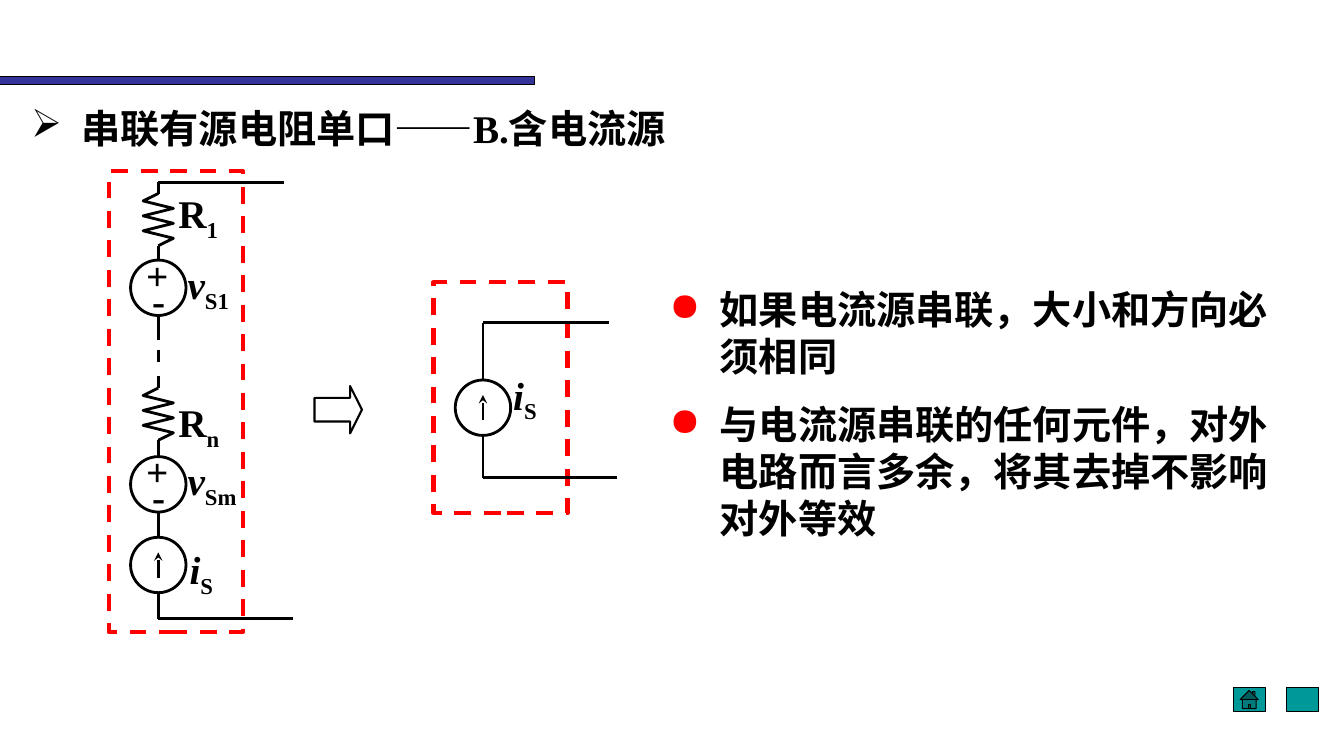
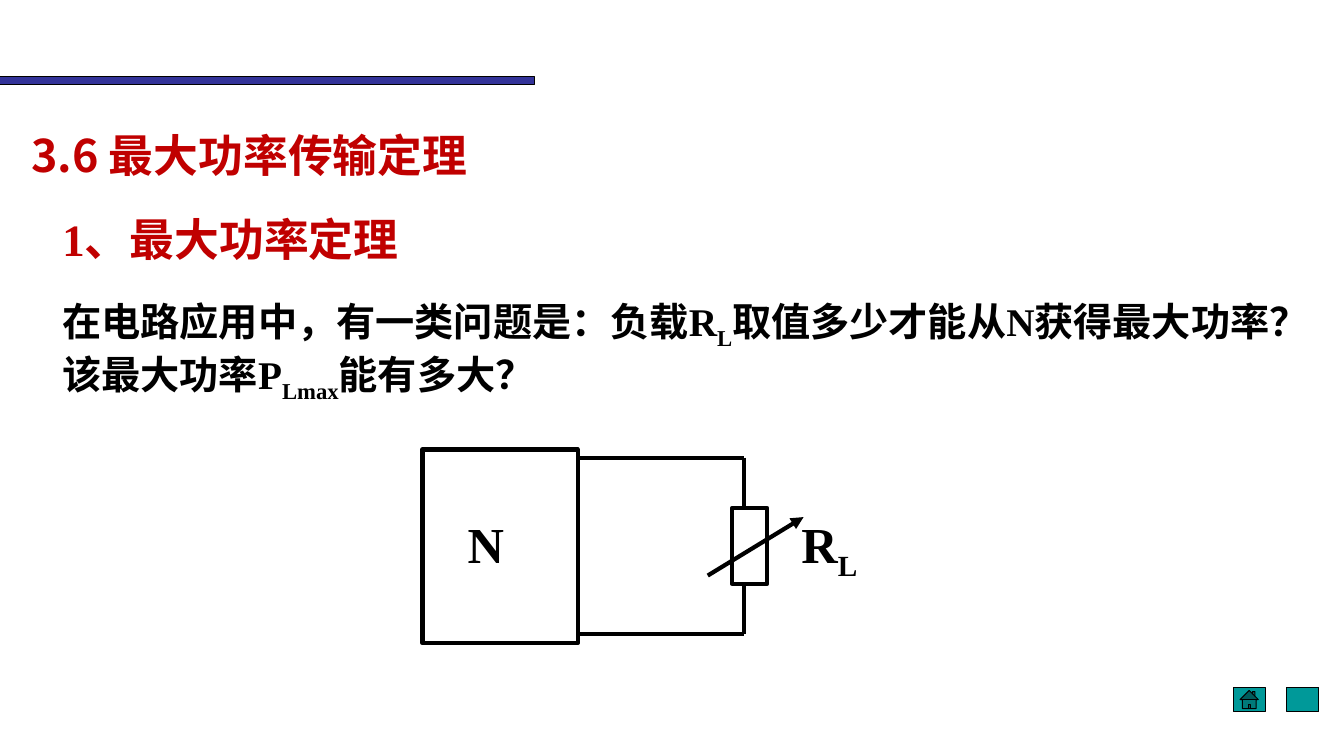
"""Build two slides on series one-ports and the maximum power transfer theorem."""
from lxml.etree import SubElement
from pptx import Presentation
from pptx.dml.color import RGBColor
from pptx.enum.dml import MSO_LINE
from pptx.enum.shapes import MSO_CONNECTOR, MSO_SHAPE as Preset
from pptx.enum.text import MSO_ANCHOR
from pptx.oxml.ns import qn
from pptx.util import Inches, Pt

COLORS = {
    "ink": "000000",
    "band": "333399",
    "button": "009999",
    "frame": "FF0000",
    "heading": "C00000",
}
LATIN, HAN = "Times New Roman", "Noto Sans CJK SC"
CELL = Inches(0.1)
COLUMNS, ROWS = 133.3, 75


def draw(slide, preset, box, fill=None, line="ink", weight=2):
    """Place a preset shape on the grid."""
    shape = slide.shapes.add_shape(preset, *[round(n * CELL) for n in box])
    shape.shadow.inherit = False
    if fill:
        shape.fill.solid()
        shape.fill.fore_color.rgb = RGBColor.from_string(COLORS[fill])
    else:
        shape.fill.background()
    shape.line.color.rgb = RGBColor.from_string(COLORS[line])
    shape.line.width = Pt(weight)
    return shape


def write(slide, box, paragraphs, size=28, color="ink", latin=LATIN, italic=False,
          inset=True, bullet=None, bullet_color="ink"):
    """Write bold paragraphs; every second part between bars is a subscript."""
    frame = slide.shapes.add_textbox(*[round(n * CELL) for n in box]).text_frame
    frame.word_wrap = True
    if not inset:
        frame.margin_left = frame.margin_right = frame.margin_top = frame.margin_bottom = 0
    for index, words in enumerate(paragraphs):
        paragraph = frame.add_paragraph() if index else frame.paragraphs[0]
        if bullet:
            props = paragraph._p.get_or_add_pPr()
            props.set("marL", str(Inches(0.5)))
            props.set("indent", str(-Inches(0.5)))
            tint = SubElement(props, qn("a:buClr"))
            SubElement(tint, qn("a:srgbClr"), val=COLORS[bullet_color])
            SubElement(props, qn("a:buChar"), char=bullet)
        if index:
            paragraph.space_before = Pt(15)
        for part, text in enumerate(words.split("|")):
            run = paragraph.add_run()
            run.text = text
            run.font.size = Pt(size)
            run.font.bold = True
            run.font.italic = italic and part % 2 == 0
            run.font.color.rgb = RGBColor.from_string(COLORS[color])
            run.font.name = latin
            props = run._r.get_or_add_rPr()
            SubElement(props, qn("a:ea"), typeface=HAN)
            if part % 2:
                props.set("baseline", "-25000")
    return frame


deck = Presentation()
deck.slide_width, deck.slide_height = round(COLUMNS * CELL), ROWS * CELL
blank = deck.slide_layouts[6]
series, power = [deck.slides.add_slide(blank) for _ in range(2)]

for slide in (series, power):
    draw(slide, Preset.RECTANGLE, (0, 7.6, 53, 0.8), "band", weight=0.75)
    draw(slide, Preset.ACTION_BUTTON_HOME, (122.3, 68.2, 3.2, 2.4), "button", weight=0.75)
    draw(slide, Preset.ACTION_BUTTON_CUSTOM, (127.6, 68.2, 3.2, 2.4), "button", weight=0.75)

write(series, (2.1, 9.9, 81.4, 5.7), ["串联有源电阻单口——B.含电流源"], bullet="➢")
write(series, (65.4, 27.8, 63.5, 26.9),
      ["如果电流源串联，大小和方向必须相同",
       "与电流源串联的任何元件，对外电路而言多余，将其去掉不影响对外等效"],
      bullet="●", bullet_color="frame")
becomes = draw(series, Preset.RIGHT_ARROW, (31.2, 38.3, 4.7, 4.7), weight=1.5)
becomes.adjustments[0], becomes.adjustments[1] = 0.5, 0.25

chain, single = 15.7, 47.9
SOURCE = 5.5
wires = [
    (series, 2, None, (chain, 18.1, 28.2, 18.1)),
    (series, 2, None, (chain, 34.7, chain, 35.9)),
    (series, 2, None, (chain, 61.4, 29.1, 61.4)),
    (series, 2, None, (single, 32, 60.4, 32)),
    (series, 2, None, (single, 32, single, 37.7)),
    (series, 2, None, (single, 47.4, 61.2, 47.4)),
]

ZIGZAG_STEP, ZIGZAG_REACH = 0.74, 1.5
for lead, zigzag_top, resistor, resistor_row, source_top, voltage in (
        (18.1, 19.2, "R|1", 18.8, 25.8, "v|S1"),
        (37.3, 38.5, "R|n", 39.5, 45.3, "v|Sm")):
    zigzag_end = zigzag_top + 7 * ZIGZAG_STEP
    turns = [(chain + ZIGZAG_REACH * (-1) ** turn, zigzag_top + turn * ZIGZAG_STEP)
             for turn in range(1, 7)]
    points = [(round(x * CELL), round(y * CELL))
              for x, y in [(chain, zigzag_top), *turns, (chain, zigzag_end)]]
    builder = series.shapes.build_freeform(*points[0])
    builder.add_line_segments(points[1:], close=False)
    zigzag = builder.convert_to_shape()
    zigzag.shadow.inherit = False
    zigzag.fill.background()
    zigzag.line.color.rgb = RGBColor.from_string(COLORS["ink"])
    zigzag.line.width = Pt(2)
    draw(series, Preset.OVAL, (chain - SOURCE / 2, source_top, SOURCE, SOURCE))
    write(series, (13.5, source_top - 1.4, 5.9, 5.7), ["+"])
    write(series, (14.1, source_top + 1.1, 5.2, 5.7), ["-"])
    write(series, (17.7, resistor_row, 6.8, 4.7), [resistor], inset=False)
    write(series, (18.6, source_top, 6.8, 4.7), [voltage], italic=True, inset=False)
    source_end = source_top + SOURCE
    wires += [(series, 2, None, (chain, start, chain, end)) for start, end in (
        (lead, zigzag_top), (zigzag_end, source_top), (source_end, source_end + 2.4))]

for axis, source_top, wire_end, label_at, frame_box in (
        (chain, 53.3, 61.4, (18.8, 54.1), (10.8, 17, 13.3, 45.7)),
        (single, 37.7, 47.4, (50.9, 36.8), (43, 28, 13.3, 22.9))):
    draw(series, Preset.OVAL, (axis - SOURCE / 2, source_top, SOURCE, SOURCE))
    write(series, (*label_at, 6.8, 4.7), ["i|S"], italic=True, inset=False)
    border = draw(series, Preset.RECTANGLE, frame_box, line="frame", weight=3)
    border.line.dash_style = MSO_LINE.DASH
    wires += [
        (series, 2, "stealth", (axis, source_top + 4, axis, source_top + 1.5)),
        (series, 2, None, (axis, source_top + SOURCE, axis, wire_end)),
    ]

section = write(power, (2.1, 11.4, 79.5, 7.8), ["3.6 最大功率传输定理"], 32, "heading", HAN)
section.vertical_anchor = MSO_ANCHOR.MIDDLE
write(power, (5.2, 20.5, 64.6, 6.4), ["1、最大功率定理"], 32, "heading")
write(power, (5.2, 29, 123.6, 10.4),
      ["在电路应用中，有一类问题是：负载R|L|取值多少才能从N获得最大功率？"
       "该最大功率P|Lmax|能有多大？"])

network_edge, load_axis = 57.2, 73.8
draw(power, Preset.RECTANGLE, (41.9, 44.6, 15.4, 19.2), weight=3)
draw(power, Preset.RECTANGLE, (72.6, 50.4, 3.5, 7.5), weight=3)
write(power, (45.4, 50.4, 7, 7.1), ["N"], 36)
write(power, (78.5, 50.4, 9, 7.1), ["R|L"], 36)
for rail, load_end in ((45.4, 50.4), (62.9, 57.9)):
    wires += [
        (power, 3, None, (network_edge, rail, load_axis, rail)),
        (power, 3, None, (load_axis, rail, load_axis, load_end)),
    ]
wires.append((power, 3, "triangle", (70.2, 57.1, 79.7, 51.3)))

for slide, weight, head, ends in wires:
    wire = slide.shapes.add_connector(MSO_CONNECTOR.STRAIGHT, *[round(n * CELL) for n in ends])
    wire.line.color.rgb = RGBColor.from_string(COLORS["ink"])
    wire.line.width = Pt(weight)
    if head:
        SubElement(wire.line._get_or_add_ln(), qn("a:tailEnd"), type=head)
    SubElement(wire._element.spPr, qn("a:effectLst"))

deck.save("out.pptx")
